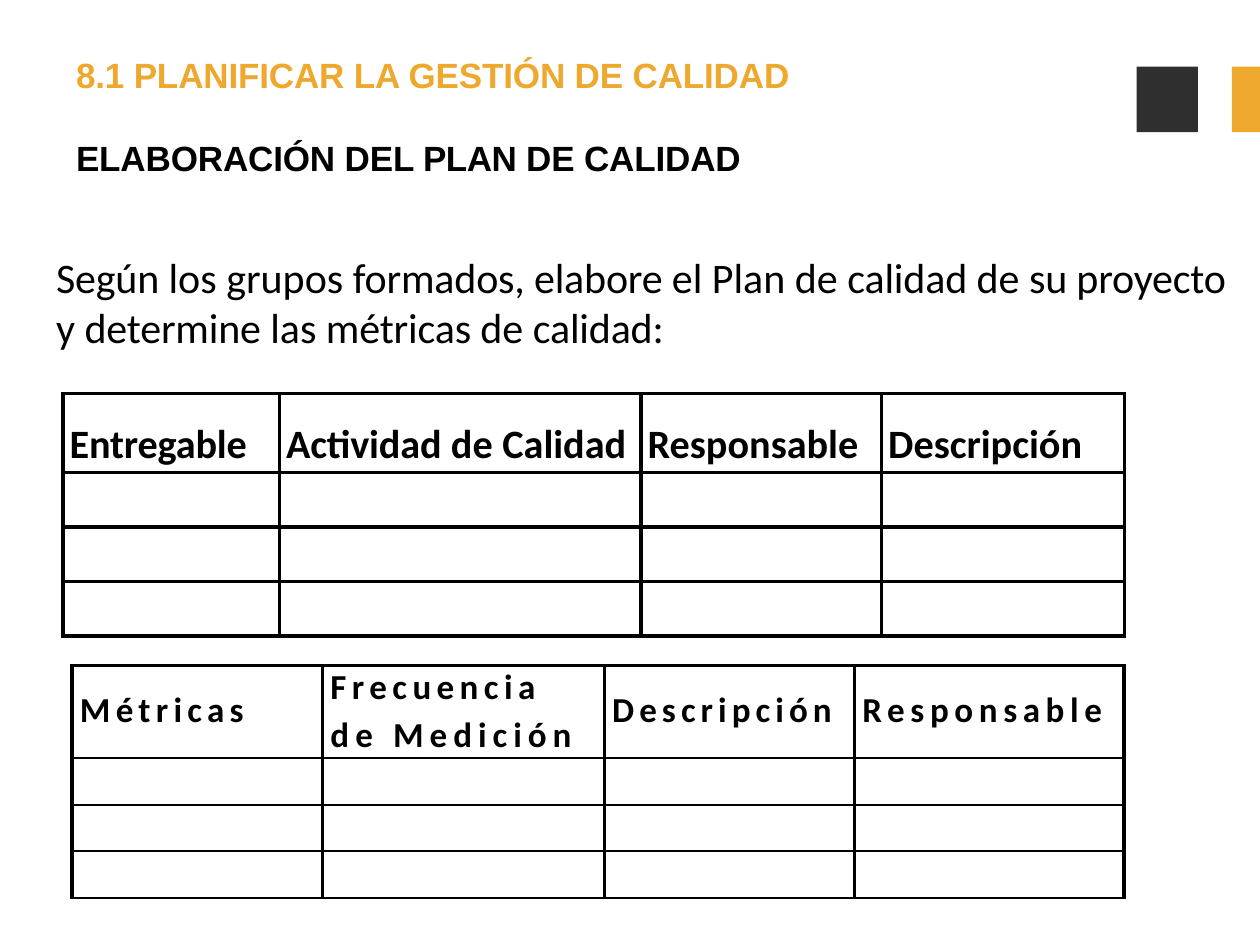
from lxml import etree
from pptx import Presentation
from pptx.dml.color import RGBColor
from pptx.enum import shapes, text
from pptx.oxml import ns
from pptx.util import Pt

COLORS = {"gold": "EEA82E", "black": "000000", "dark": "2F2F2F"}

# Content: a line is a list of (words, letter spacing in points)
TEXTS = [
    # left, top, width, height, size, font, bold, colour, lines
    (42.5, 29.5, 411, 26, 20, "Arial", True, "gold",
     [[("8.1 PLANIFICAR LA GESTIÓN DE CALIDAD", -0.1)]]),
    (42.5, 77, 384.5, 26, 20, "Arial", True, "black",
     [[("ELABORACIÓN DEL ", -0.1), ("PLAN ", -0.3), ("DE CALIDAD", -0.1)]]),
    (31, 142.5, 674.5, 60, 24, "Calibri", False, "black",
     [[("Según ", -0.1), ("los grupos ", 0), ("formados, elabore ", -0.1),
       ("el Plan de ", 0), ("calidad ", -0.1), ("de ", 0), ("su proyecto", -0.1)],
      [("y ", 0), ("determine ", -0.1), ("las ", 0), ("métricas ", -0.1),
       ("de ", 0), ("calidad:", -0.1)]]),
]
TABLES = [
    {"left": 36, "top": 224.7, "size": 23, "indent": 3.8, "gap": 0,
     "columns": [123.7, 206.6, 137.5, 139], "rows": [45.4] + [31.1] * 3,
     "borders": {"lnL": 2.25, "lnR": 2.25, "lnT": 2.25, "lnB": 2.25},
     "headers": [
         (15.2, [[("Entregable", -0.1)]]),
         (15.2, [[("Actividad ", -0.1), ("de ", 0.1), ("Calidad", 0)]]),
         (15.2, [[("Responsable", 0)]]),
         (15.2, [[("Descripción", 0)]])]},
    {"left": 41.2, "top": 380.2, "size": 20, "indent": 4.5, "gap": 2.5,
     "columns": [143.2, 161, 143, 154], "rows": [53.1] + [26.6] * 3,
     "borders": {"lnL": 2.25, "lnR": 2.25, "lnT": 1.5, "lnB": 1.5},
     "headers": [
         (13.8, [[("Métricas", 3)]]),
         (0.6, [[("Frecuencia", 3.1)], [("de ", 3.5), ("Medición", 3.4)]]),
         (13.8, [[("Descripción", 2.9)]]),
         (13.8, [[("Responsable", 3.2)]])]},
]
BLOCKS = [  # emblem placeholder and edge tab
    (649.5, 38, 35, 37.5, "dark"),
    (704, 38, 16, 37.5, "gold"),
]


def write_lines(frame, lines, size, font, bold, color, gap=0):
    for index, line in enumerate(lines):
        para = frame.paragraphs[0] if index == 0 else frame.add_paragraph()
        para.alignment = text.PP_ALIGN.LEFT
        para.space_before = Pt(gap if index else 0)
        for words, spacing in line:
            span = para.add_run()
            span.text = words
            span.font.size, span.font.name, span.font.bold = Pt(size), font, bold
            span.font.color.rgb = RGBColor.from_string(COLORS[color])
            span.font._element.set("spc", str(round(spacing * 100)))


def set_borders(cell, borders):
    props = cell._tc.get_or_add_tcPr()
    for index, (side, width) in enumerate(borders.items()):
        line = etree.Element(ns.qn("a:" + side), w=str(Pt(width)))
        fill = etree.SubElement(line, ns.qn("a:solidFill"))
        etree.SubElement(fill, ns.qn("a:srgbClr"), val=COLORS["black"])
        props.insert(index, line)


deck = Presentation()
deck.slide_width, deck.slide_height = Pt(720), Pt(540)
page = deck.slides.add_slide(deck.slide_layouts[6])

# Corner blocks
for left, top, width, height, color in BLOCKS:
    block = page.shapes.add_shape(shapes.MSO_SHAPE.RECTANGLE,
                                  Pt(left), Pt(top), Pt(width), Pt(height))
    block.shadow.inherit = False
    block.fill.solid()
    block.fill.fore_color.rgb = RGBColor.from_string(COLORS[color])
    block.line.fill.background()

# Headings and instruction
for left, top, width, height, size, font, bold, color, lines in TEXTS:
    box = page.shapes.add_textbox(Pt(left), Pt(top), Pt(width), Pt(height))
    frame = box.text_frame
    frame.word_wrap = True
    frame.margin_left = frame.margin_top = Pt(1)
    frame.margin_right = frame.margin_bottom = 0
    write_lines(frame, lines, size, font, bold, color)

# Tables with a header row and empty rows to fill in
for data in TABLES:
    columns, rows = data["columns"], data["rows"]
    table = page.shapes.add_table(
        len(rows), len(columns), Pt(data["left"]), Pt(data["top"]),
        Pt(sum(columns)), Pt(sum(rows))).table
    table.horz_banding = False
    for column, width in zip(table.columns, columns):
        column.width = Pt(width)
    for row, height in zip(table.rows, rows):
        row.height = Pt(height)
    for cell in table.iter_cells():
        cell.margin_left = Pt(data["indent"])
        cell.margin_right = cell.margin_top = cell.margin_bottom = 0
        cell.fill.background()
        set_borders(cell, data["borders"])
    for column, (inset, lines) in enumerate(data["headers"]):
        cell = table.cell(0, column)
        cell.margin_top = Pt(inset)
        write_lines(cell.text_frame, lines, data["size"], "Calibri", True,
                    "black", data["gap"])

deck.save("out.pptx")
